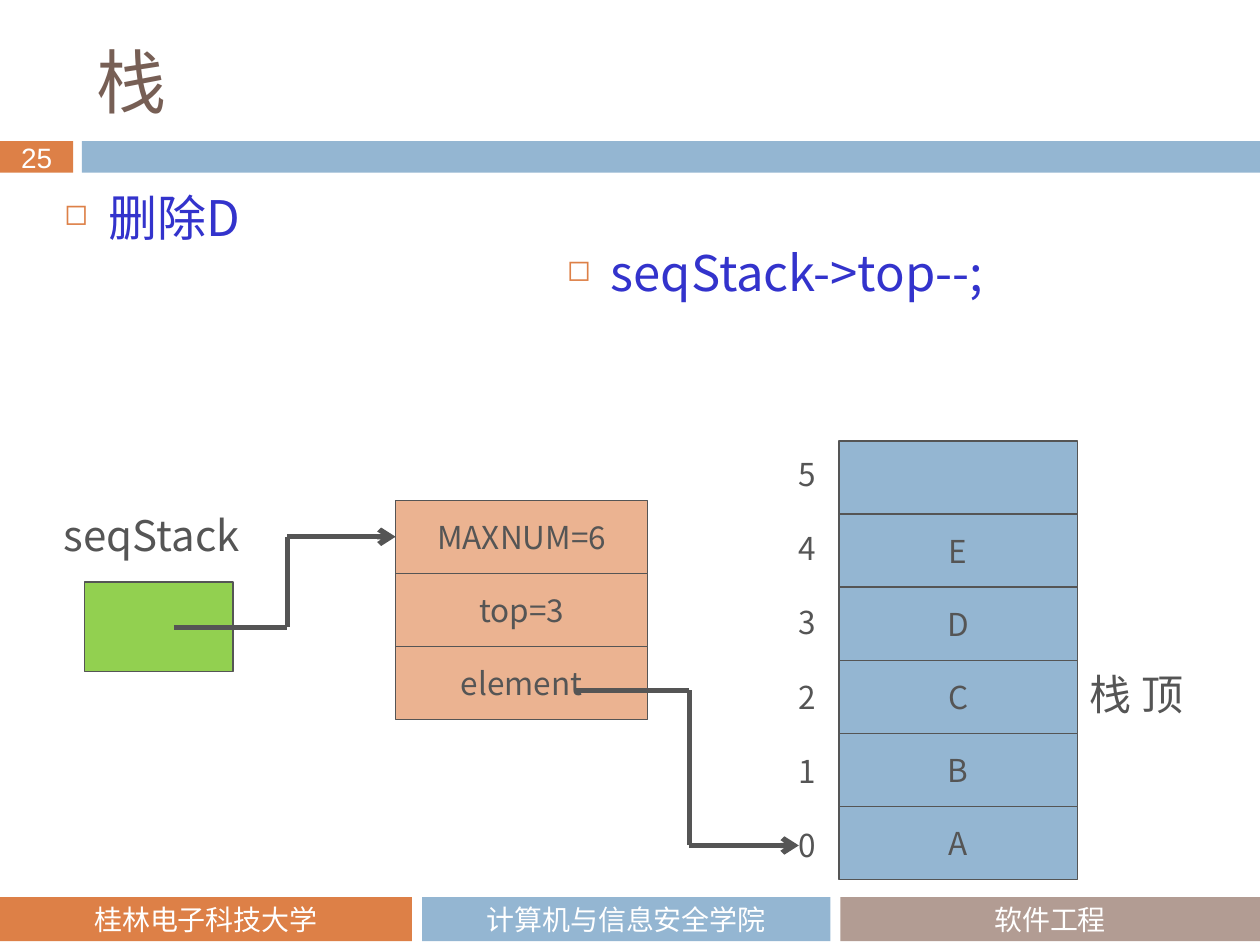
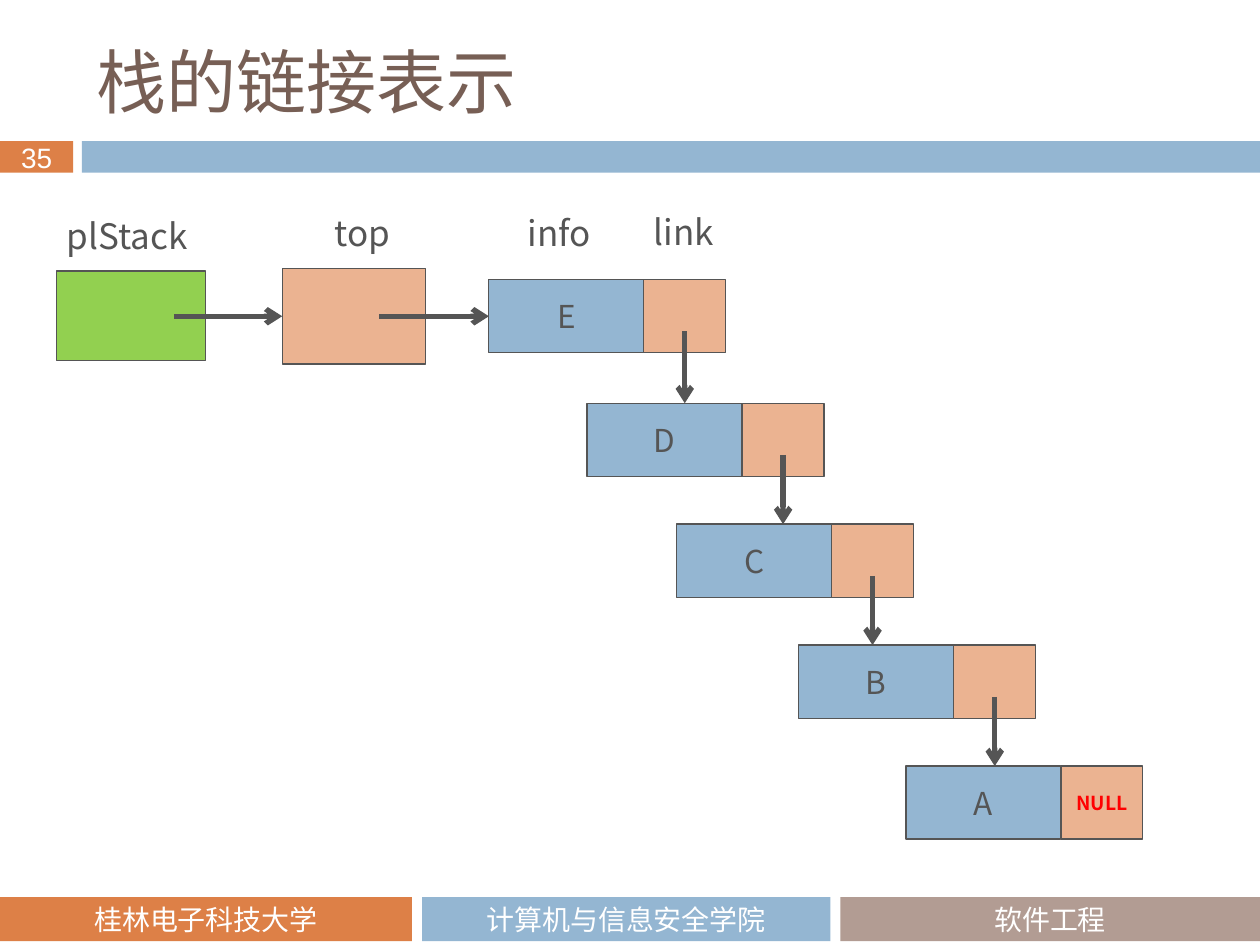
from dataclasses import dataclass

from lxml import etree
from pptx import Presentation
from pptx.dml.color import RGBColor
from pptx.enum.shapes import MSO_CONNECTOR, MSO_SHAPE
from pptx.enum.text import MSO_ANCHOR, PP_ALIGN
from pptx.oxml.ns import qn
from pptx.util import Inches, Pt

RECTANGLE = MSO_SHAPE.RECTANGLE
STRAIGHT = MSO_CONNECTOR.STRAIGHT
TOP, MIDDLE = MSO_ANCHOR.TOP, MSO_ANCHOR.MIDDLE
LEFT, CENTER = PP_ALIGN.LEFT, PP_ALIGN.CENTER
LEFT_SIDE = 1


@dataclass(frozen=True)
class Theme:
    orange: str = "DD8047"
    blue: str = "94B6D2"
    taupe: str = "B29C93"
    peach: str = "EBB391"
    green: str = "92D050"
    ink: str = "555555"
    title_color: str = "775F55"
    statement_color: str = "3333CC"
    alert: str = "FF0000"
    white: str = "FFFFFF"
    body_font: str = "Noto Sans CJK SC"
    title_font: str = "Noto Sans CJK JP"
    footer_font: str = "Calibri"
    number_font: str = "Arial"
    title_size: int = 40
    statement_size: int = 28
    name_size: int = 24
    label_size: int = 20
    cell_size: int = 18
    band_size: int = 16
    null_size: int = 11
    line_spacing: int = 30
    outline: float = 0.75
    arrow: float = 3


THEME = Theme()

# Content; places are in inches
SLIDE_SIZE = (10, 7.5)
BAND_TOP, BAND_HEIGHT = 1.12, 0.25
FOOTER_TOP, FOOTER_HEIGHT = 7.12, 0.35
FOOTERS = [
    ("桂林电子科技大学", 0, 3.27, THEME.orange),
    ("计算机与信息安全学院", 3.35, 3.24, THEME.blue),
    ("软件工程", 6.67, 3.33, THEME.taupe),
]
CELL_HEIGHT = 0.58

ARRAY_TITLE, ARRAY_NUMBER = "栈", "25"
STATEMENTS = [("删除D", 0.41, 1.49), ("seqStack->top--;", 4.4, 1.93)]
ARRAY_LABELS = [("seqStack", 0.41, 3.98, 1.7), ("栈 顶", 8.55, 5.24, 1.24)]
ARRAY_VALUES = ["", "E", "D", "C", "B", "A"]
ARRAY_LEFT, ARRAY_TOP, ARRAY_WIDTH = 6.66, 3.5, 1.89
INDEX_LEFT, INDEX_TOP, INDEX_PITCH = 6.24, 3.56, 0.59
RECORD_FIELDS = ["MAXNUM=6", "top=3", "element"]
RECORD_LEFT, RECORD_TOP, RECORD_WIDTH = 3.14, 3.97, 2
POINTER_BOX = (0.67, 4.62, 1.18, 0.71)
POINTER_ROUTE = [(1.38, 4.98), (2.28, 4.98), (2.28, 4.26), (3.14, 4.26)]
ELEMENT_ROUTE = [(4.57, 5.48), (5.47, 5.48), (5.47, 6.71), (6.34, 6.71)]

LINKED_TITLE, LINKED_NUMBER = "栈的链接表示", "35"
LINKED_LABELS = [
    ("plStack", 0.43, 1.57, 1.27),
    ("top", 2.56, 1.55, 0.81),
    ("info", 4.09, 1.55, 0.81),
    ("link", 5.09, 1.54, 0.81),
]
STACK_BOX = (0.45, 2.15, 1.18, 0.71)
TOP_BOX = (2.24, 2.13, 1.14, 0.76)
INFO_WIDTH, LINK_WIDTH = 1.23, 0.65
NODES = [
    ("E", 3.88, 2.22),
    ("D", 4.66, 3.2),
    ("C", 5.37, 4.16),
    ("B", 6.34, 5.12),
    ("A", 7.19, 6.08),
]
LINK_ARROW_OFFSET = 0.41
ARROW_ROW = 2.51


def add_text(shape, text, size, color=THEME.ink, font=THEME.body_font,
             align=LEFT, anchor=TOP, wrap=True, bold=False):
    frame = shape.text_frame
    frame.word_wrap = wrap
    frame.vertical_anchor = anchor
    paragraph = frame.paragraphs[0]
    paragraph.alignment = align
    run = paragraph.add_run()
    run.text = text
    run.font.size = Pt(size)
    run.font.name = font
    run.font.bold = bold
    run.font.color.rgb = RGBColor.from_string(color)
    east_asian = etree.SubElement(run.font._element, qn("a:ea"))
    east_asian.set("typeface", font)
    return paragraph


def add_box(slide, box, fill, outlined=True):
    shape = slide.shapes.add_shape(RECTANGLE, *map(Inches, box))
    shape.shadow.inherit = False
    shape.fill.solid()
    shape.fill.fore_color.rgb = RGBColor.from_string(fill)
    if outlined:
        shape.line.color.rgb = RGBColor.from_string(THEME.ink)
        shape.line.width = Pt(THEME.outline)
    else:
        shape.line.fill.background()
    return shape


def add_cell(slide, box, fill, text="", size=THEME.cell_size, **style):
    cell = add_box(slide, box, fill)
    if text:
        add_text(cell, text, size, align=CENTER, anchor=MIDDLE, **style)
    return cell


def add_label(slide, box, text, size, **style):
    label = slide.shapes.add_textbox(*map(Inches, box))
    return add_text(label, text, size, **style)


def add_spaced_labels(slide, labels, size):
    for text, left, top, width in labels:
        paragraph = add_label(slide, (left, top, width, 0.52), text, size)
        paragraph.line_spacing = Pt(THEME.line_spacing)


def add_statement(slide, text, left, top):
    """Add a line of large text with a small hollow square as its bullet."""
    paragraph = add_label(slide, (left, top, 4.41, 1.17), text,
                          THEME.statement_size, color=THEME.statement_color)
    paragraph.line_spacing = Pt(THEME.line_spacing)
    properties = paragraph._p.get_or_add_pPr()
    properties.set("marL", str(Inches(0.35)))
    properties.set("indent", str(-Inches(0.35)))
    bullet_color = etree.SubElement(properties, qn("a:buClr"))
    etree.SubElement(bullet_color, qn("a:srgbClr")).set("val", THEME.orange)
    etree.SubElement(properties, qn("a:buSzPct")).set("val", "60000")
    etree.SubElement(properties, qn("a:buChar")).set("char", "◻")


def add_route(slide, points, target=None):
    """Draw straight lines through the points; the last carries the arrowhead."""
    for start, end in zip(points, points[1:]):
        connector = slide.shapes.add_connector(STRAIGHT, *map(Inches, start + end))
        connector.line.color.rgb = RGBColor.from_string(THEME.ink)
        connector.line.width = Pt(THEME.arrow)
        etree.SubElement(connector._element.spPr, qn("a:effectLst"))
    line = connector.line._get_or_add_ln()
    etree.SubElement(line, qn("a:tailEnd")).set("type", "arrow")
    if target is not None:
        connector.end_connect(target, LEFT_SIDE)


def add_base_slide(presentation, title, number):
    slide = presentation.slides.add_slide(presentation.slide_layouts[6])
    number_band = add_box(slide, (0, BAND_TOP, 0.58, BAND_HEIGHT), THEME.orange, False)
    number_band.text_frame.margin_left = number_band.text_frame.margin_right = 0
    add_text(number_band, number, THEME.band_size, THEME.white,
             THEME.number_font, CENTER, MIDDLE, wrap=False)
    add_box(slide, (0.65, BAND_TOP, 9.35, BAND_HEIGHT), THEME.blue, False)
    for text, left, width, fill in FOOTERS:
        footer = add_box(slide, (left, FOOTER_TOP, width, FOOTER_HEIGHT), fill, False)
        add_text(footer, text, THEME.band_size, THEME.white,
                 THEME.footer_font, CENTER, MIDDLE)
    add_label(slide, (0.67, 0.25, 8.92, 0.78), title, THEME.title_size,
              color=THEME.title_color, font=THEME.title_font, anchor=MIDDLE)
    return slide


def add_column(slide, values, left, top, width, fill):
    return [
        add_cell(slide, (left, top + row * CELL_HEIGHT, width, CELL_HEIGHT), fill, value)
        for row, value in enumerate(values)
    ]


def build_array_slide(presentation):
    slide = add_base_slide(presentation, ARRAY_TITLE, ARRAY_NUMBER)
    add_column(slide, ARRAY_VALUES, ARRAY_LEFT, ARRAY_TOP, ARRAY_WIDTH, THEME.blue)
    record = add_column(slide, RECORD_FIELDS, RECORD_LEFT, RECORD_TOP,
                        RECORD_WIDTH, THEME.peach)
    add_cell(slide, POINTER_BOX, THEME.green)
    add_spaced_labels(slide, ARRAY_LABELS, THEME.name_size)
    for row in range(len(ARRAY_VALUES)):
        index = len(ARRAY_VALUES) - 1 - row
        add_label(slide, (INDEX_LEFT, INDEX_TOP + row * INDEX_PITCH, 0.36, 0.4),
                  str(index), THEME.cell_size, wrap=False)
    add_route(slide, POINTER_ROUTE, record[0])
    add_route(slide, ELEMENT_ROUTE)
    for statement in STATEMENTS:
        add_statement(slide, *statement)


def build_linked_slide(presentation):
    slide = add_base_slide(presentation, LINKED_TITLE, LINKED_NUMBER)
    add_cell(slide, STACK_BOX, THEME.green)
    top_cell = add_cell(slide, TOP_BOX, THEME.peach)
    add_spaced_labels(slide, LINKED_LABELS, THEME.label_size)
    info_cells = []
    for value, left, top in NODES:
        info_cells.append(add_cell(slide, (left, top, INFO_WIDTH, CELL_HEIGHT),
                                   THEME.blue, value))
        is_last = value == NODES[-1][0]
        add_cell(slide, (left + INFO_WIDTH, top, LINK_WIDTH, CELL_HEIGHT), THEME.peach,
                 "NULL" if is_last else "", THEME.null_size,
                 color=THEME.alert, bold=True, wrap=False)
    add_route(slide, [(1.38, ARROW_ROW), (2.24, ARROW_ROW)], top_cell)
    add_route(slide, [(3.01, ARROW_ROW), (3.88, ARROW_ROW)], info_cells[0])
    for (_, left, top), (_, _, next_top) in zip(NODES, NODES[1:]):
        center = left + INFO_WIDTH + LINK_WIDTH / 2
        add_route(slide, [(center, top + LINK_ARROW_OFFSET), (center, next_top)])


def main():
    presentation = Presentation()
    presentation.slide_width, presentation.slide_height = map(Inches, SLIDE_SIZE)
    build_array_slide(presentation)
    build_linked_slide(presentation)
    presentation.save("out.pptx")


if __name__ == "__main__":
    main()
